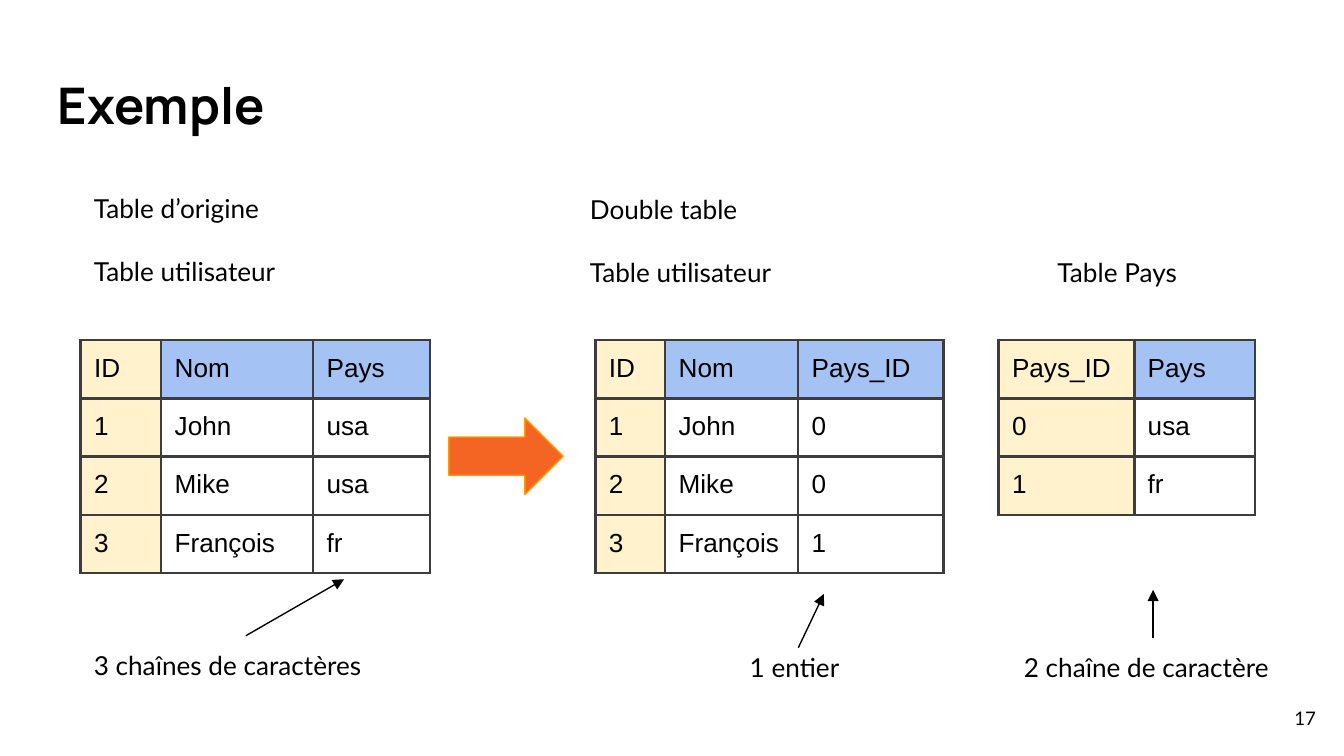
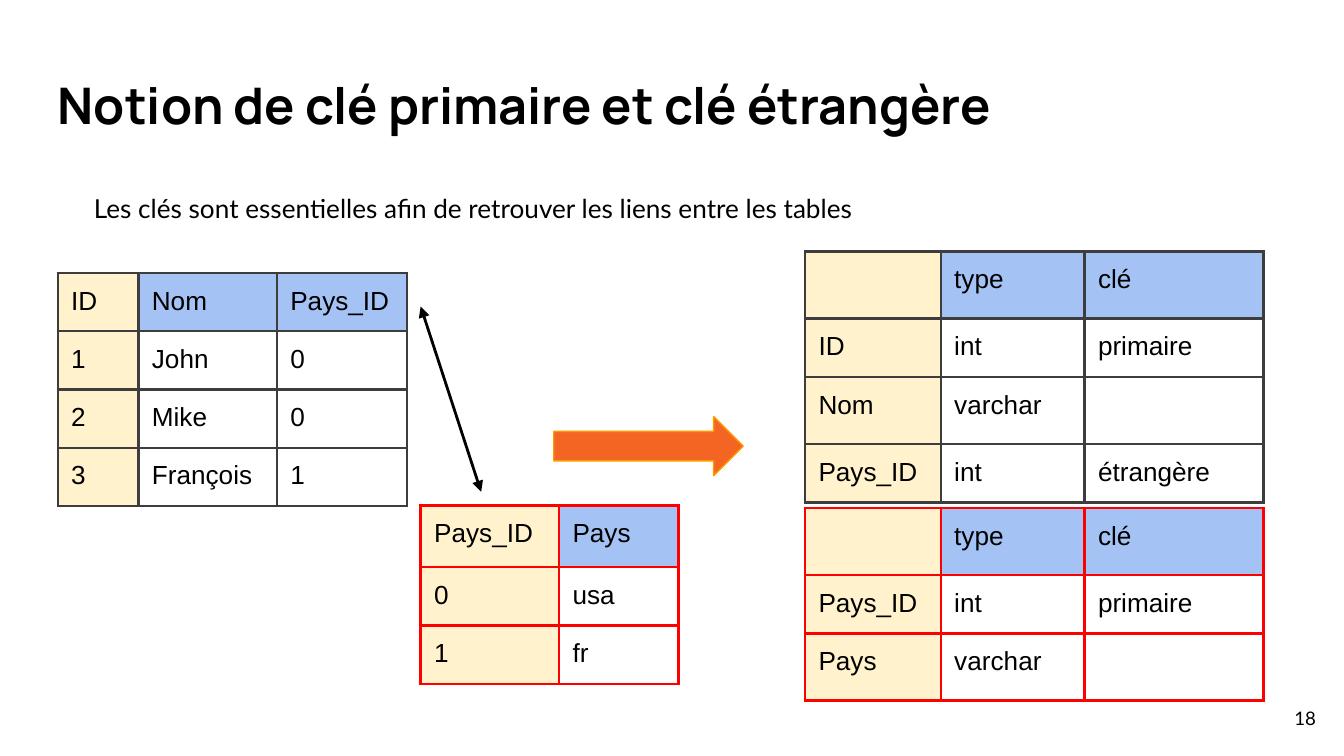
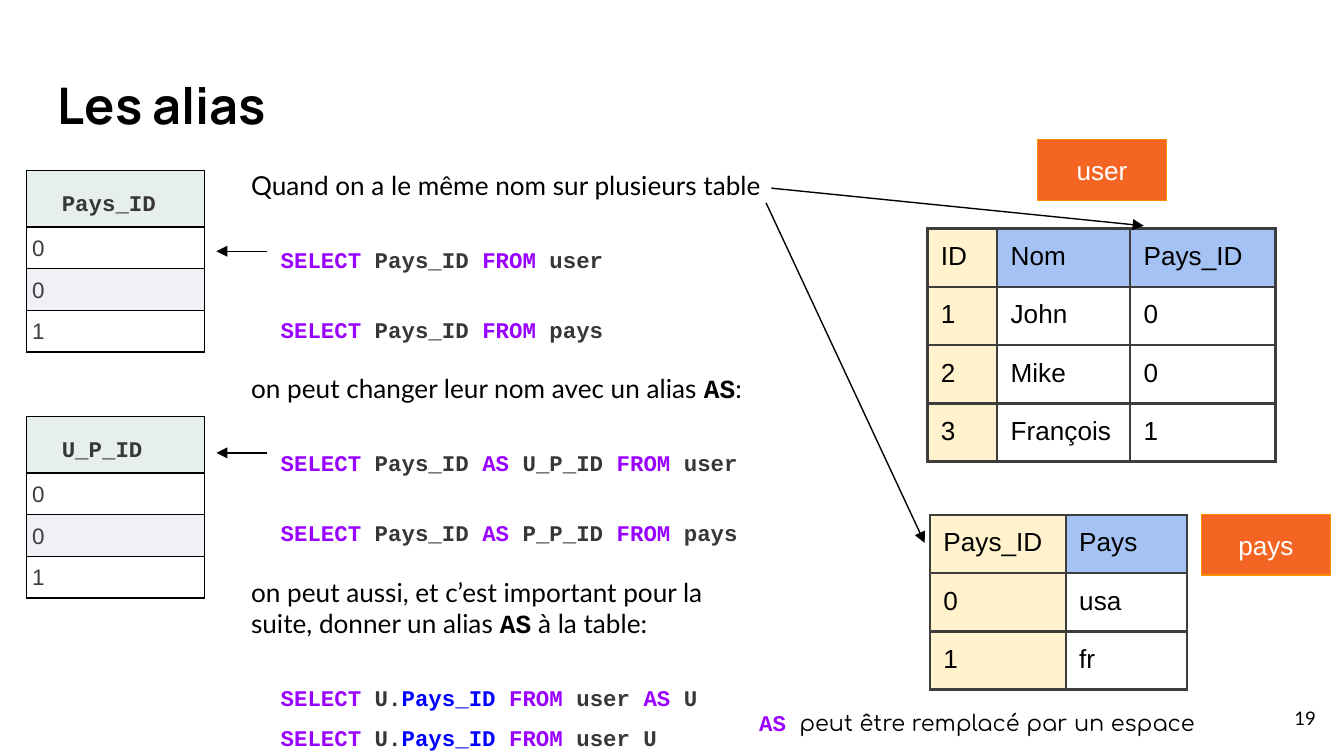
from lxml.etree import SubElement
from pptx import Presentation
from pptx.dml.color import RGBColor
from pptx.enum.shapes import MSO_CONNECTOR as Link, MSO_SHAPE as Shape
from pptx.enum.text import MSO_ANCHOR as Anchor, MSO_AUTO_SIZE as AutoSize, PP_ALIGN as Align
from pptx.oxml import parse_xml
from pptx.oxml.ns import nsdecls, qn
from pptx.util import Inches, Pt

BLACK = RGBColor(0x00, 0x00, 0x00)
WHITE = RGBColor(0xFF, 0xFF, 0xFF)
CHARCOAL = RGBColor(0x3D, 0x3D, 0x3D)
CODE_GREY = RGBColor(0x37, 0x37, 0x37)
RED = RGBColor(0xFF, 0x00, 0x00)
BLUE = RGBColor(0x00, 0x00, 0xFF)
PURPLE = RGBColor(0x99, 0x00, 0xFF)
KEY_CREAM = RGBColor(0xFF, 0xF2, 0xCC)
HEADER_BLUE = RGBColor(0xA4, 0xC2, 0xF4)
ORANGE = RGBColor(0xF4, 0x65, 0x24)
ARROW_EDGE = RGBColor(0xFF, 0x99, 0x00)
TAG_EDGE = RGBColor(0xFB, 0x8C, 0x00)
RESULT_HEADER = RGBColor(0xE6, 0xEE, 0xEE)
RESULT_BAND = RGBColor(0xF0, 0xF0, 0xF6)
SANS, PROSE, CODE, HEADING, ROUND = "Arial", "Lato", "Courier New", "Manrope", "Comfortaa"
KEYWORDS = ("SELECT", "FROM", "AS")
CODE_INDENT = Inches(0.22)
COUNTRY_TAB = Inches(3.48)
ROW = 0.43
TALL_ROW = 0.5


def add_box(page, left, top, width, height, lines, size=14):
    box = page.shapes.add_textbox(Inches(left), Inches(top), Inches(width), Inches(height))
    frame = box.text_frame
    frame.word_wrap = True
    frame.margin_left = frame.margin_right = frame.margin_top = frame.margin_bottom = Inches(0.1)
    for index, line in enumerate(lines):
        para = frame.add_paragraph() if index else frame.paragraphs[0]
        para.text = line
        if index:
            para.space_before = Pt(17)
        if "\t" in line:
            stops = SubElement(para._p.get_or_add_pPr(), qn("a:tabLst"))
            SubElement(stops, qn("a:tab"), pos=str(COUNTRY_TAB), algn="l")
        para.font.name, para.font.size = PROSE, Pt(size)
        para.font.color.rgb = BLACK
    return frame


def add_grid(page, left, top, widths, heights, rows, edge=CHARCOAL, weight=1.5, inset=0.1):
    grid = page.shapes.add_table(len(rows), len(widths), Inches(left), Inches(top),
                                 Inches(sum(widths)), Inches(sum(heights))).table
    grid.first_row = grid.horz_banding = False
    for column, width in zip(grid.columns, widths):
        column.width = Inches(width)
    for row, height in zip(grid.rows, heights):
        row.height = Inches(height)
    for row_index, texts in enumerate(rows):
        for column_index, text in enumerate(texts):
            cell = grid.cell(row_index, column_index)
            cell.margin_left = cell.margin_right = Inches(inset)
            cell.margin_top = cell.margin_bottom = Inches(inset)
            if column_index == 0 or row_index == 0:
                cell.fill.solid()
                cell.fill.fore_color.rgb = HEADER_BLUE if column_index else KEY_CREAM
            else:
                cell.fill.background()
            para = cell.text_frame.paragraphs[0]
            para.text = text
            para.font.name, para.font.size = SANS, Pt(14)
            para.font.color.rgb = BLACK
            properties = cell._tc.get_or_add_tcPr()
            for position, side in enumerate(("lnL", "lnR", "lnT", "lnB")):
                properties.insert(position, parse_xml(
                    f'<a:{side} {nsdecls("a")} w="{Pt(weight)}"><a:solidFill>'
                    f'<a:srgbClr val="{edge}"/></a:solidFill></a:{side}>'))
    return grid


deck = Presentation()
deck.slide_width = Inches(10)
deck.slide_height = deck.slide_width * 9 // 16
title_layout = deck.slide_layouts[5]

pages = []
titles = ["Exemple", "Notion de clé primaire et clé étrangère", "Les alias"]
for number, title_text in enumerate(titles, 17):
    page = deck.slides.add_slide(title_layout)
    title = page.shapes.title
    title.left, title.top, title.width, title.height = map(Inches, (0.33, 0.45, 9.32, 0.7))
    frame = title.text_frame
    frame.text = title_text
    frame.auto_size = AutoSize.NONE
    frame.vertical_anchor = Anchor.TOP
    frame.margin_left = frame.margin_right = frame.margin_top = frame.margin_bottom = Inches(0.1)
    para = frame.paragraphs[0]
    para.alignment = Align.LEFT
    para.font.name, para.font.size, para.font.bold = HEADING, Pt(27), True
    para.font.color.rgb = BLACK
    number_frame = add_box(page, 9.29, 5.13, 0.6, 0.43, [str(number)], 10)
    number_frame.vertical_anchor = Anchor.MIDDLE
    number_frame.paragraphs[0].alignment = Align.RIGHT
    pages.append(page)
example, keys, aliases = pages

for page, left, top, width, height, lines in [
    (example, 0.6, 1.33, 1.91, 0.91, ["Table d’origine", "Table utilisateur"]),
    (example, 4.29, 1.34, 4.6, 0.91, ["Double table", "Table utilisateur\tTable Pays"]),
    (example, 0.6, 4.73, 2.46, 0.44, ["3 chaînes de caractères"]),
    (example, 5.48, 4.75, 1.59, 0.44, ["1 entier"]),
    (example, 7.52, 4.75, 2.13, 0.44, ["2 chaîne de caractère"]),
    (keys, 0.6, 1.33, 8.51, 0.44,
     ["Les clés sont essentielles afin de retrouver les liens entre les tables"]),
]:
    add_box(page, left, top, width, height, lines)

names = ["John", "Mike", "François"]
users_by_name = [["ID", "Nom", "Pays"]]
users_by_id = [["ID", "Nom", "Pays_ID"]]
for index, (name, country, country_id) in enumerate(zip(names, ["usa", "usa", "fr"], "001"), 1):
    users_by_name.append([str(index), name, country])
    users_by_id.append([str(index), name, country_id])
countries = [["Pays_ID", "Pays"], ["0", "usa"], ["1", "fr"]]
user_types = [["", "type", "clé"], ["ID", "int", "primaire"],
              ["Nom", "varchar", ""], ["Pays_ID", "int", "étrangère"]]
country_types = [["", "type", "clé"], ["Pays_ID", "int", "primaire"], ["Pays", "varchar", ""]]

user_widths, country_widths, type_widths = [0.52, 0.99, 1.08], [1.01, 0.9], [1.01, 1.07, 1.33]
for page, left, top, widths, heights, rows, edge in [
    (example, 0.6, 2.53, [0.6, 1.13, 0.87], [ROW] * 4, users_by_name, CHARCOAL),
    (example, 4.43, 2.53, user_widths, [ROW] * 4, users_by_id, CHARCOAL),
    (example, 7.43, 2.53, country_widths, [ROW] * 3, countries, CHARCOAL),
    (keys, 0.43, 2.03, [0.6, 1.03, 0.97], [ROW] * 4, users_by_id, CHARCOAL),
    (keys, 3.13, 3.76, [1.03, 0.89], [0.46, ROW, ROW], countries, RED),
    (keys, 5.99, 1.87, type_widths, [TALL_ROW, ROW, TALL_ROW, ROW], user_types, CHARCOAL),
    (keys, 5.99, 3.78, type_widths, [TALL_ROW, ROW, TALL_ROW], country_types, RED),
    (aliases, 6.9, 1.7, user_widths, [ROW] * 4, users_by_id, CHARCOAL),
    (aliases, 6.92, 3.83, country_widths, [ROW] * 3, countries, CHARCOAL),
]:
    add_grid(page, left, top, widths, heights, rows, edge)

for top, heading in [(1.27, "Pays_ID"), (3.1, "U_P_ID")]:
    result = add_grid(aliases, 0.2, top, [1.32], [0.42] + [0.31] * 3,
                      [[heading], ["0"], ["0"], ["1"]], BLACK, 0.75, 0.04)
    for index, color in enumerate([RESULT_HEADER, WHITE, RESULT_BAND, WHITE]):
        cell = result.cell(index, 0)
        cell.fill.solid()
        cell.fill.fore_color.rgb = color
        para = cell.text_frame.paragraphs[0]
        para.line_spacing = 1.15 if index else 1.5
        para.font.size = Pt(12)
        para.font.color.rgb = CHARCOAL if index else CODE_GREY
        if index == 0:
            cell.vertical_anchor = Anchor.MIDDLE
            para.font.name, para.font.bold = CODE, True
            para._p.get_or_add_pPr().set("marL", str(CODE_INDENT))

for page, start, end, weight, ends in [
    (example, (1.83, 4.73), (2.56, 4.31), 0.75, ["tailEnd"]),
    (example, (8.58, 4.75), (8.58, 4.39), 0.75, ["tailEnd"]),
    (example, (5.94, 4.82), (6.13, 4.42), 0.75, ["tailEnd"]),
    (keys, (3.13, 2.28), (3.58, 3.66), 1.5, ["headEnd", "tailEnd"]),
    (aliases, (5.74, 1.4), (8.51, 1.68), 0.75, ["tailEnd"]),
    (aliases, (5.7, 1.51), (6.88, 4.04), 0.75, ["tailEnd"]),
    (aliases, (1.99, 1.87), (1.61, 1.87), 0.75, ["tailEnd"]),
    (aliases, (1.99, 3.37), (1.61, 3.37), 0.75, ["tailEnd"]),
]:
    arrow = page.shapes.add_connector(Link.STRAIGHT, *map(Inches, start + end))
    arrow.line.color.rgb = BLACK
    arrow.line.width = Pt(weight)
    properties = arrow._element.spPr
    for end_name in ends:
        SubElement(properties.find(qn("a:ln")), qn(f"a:{end_name}")).set("type", "triangle")
    SubElement(properties, qn("a:effectLst"))

for page, kind, left, top, width, height, edge, label in [
    (example, Shape.RIGHT_ARROW, 3.34, 3.11, 0.85, 0.57, ARROW_EDGE, ""),
    (keys, Shape.RIGHT_ARROW, 4.12, 3.1, 1.41, 0.44, ARROW_EDGE, ""),
    (aliases, Shape.RECTANGLE, 7.72, 1.04, 0.96, 0.45, TAG_EDGE, "user"),
    (aliases, Shape.RECTANGLE, 8.94, 3.83, 0.96, 0.45, TAG_EDGE, "pays"),
]:
    block = page.shapes.add_shape(kind, Inches(left), Inches(top), Inches(width), Inches(height))
    block.shadow.inherit = False
    block.fill.solid()
    block.fill.fore_color.rgb = ORANGE
    block.line.color.rgb = edge
    block.line.width = Pt(0.75)
    if label:
        block.text_frame.vertical_anchor = Anchor.MIDDLE
        para = block.text_frame.paragraphs[0]
        para.text = label
        para.alignment = Align.CENTER
        para.font.name, para.font.size = SANS, Pt(14)
        para.font.color.rgb = WHITE

lesson = add_box(aliases, 1.77, 1.16, 4.04, 4.47, ["Quand on a le même nom sur plusieurs table"])
for space, text in [
    (17, "SELECT Pays_ID FROM user"),
    (16, "SELECT Pays_ID FROM pays"),
    (16, "on peut changer leur nom avec un alias AS:"),
    (17, "SELECT Pays_ID AS U_P_ID FROM user"),
    (16, "SELECT Pays_ID AS P_P_ID FROM pays"),
    (16, "on peut aussi, et c’est important pour la suite, donner un alias AS à la table:"),
    (17, "SELECT U.Pays_ID FROM user AS U SELECT U.Pays_ID FROM user U"),
]:
    para = lesson.add_paragraph()
    para.space_before = Pt(space)
    if text.startswith("SELECT"):
        para.line_spacing = 1.5
        para._p.get_or_add_pPr().set("marL", str(CODE_INDENT))
        para.font.name, para.font.size, para.font.bold = CODE, Pt(12), True
        words = text.split(" ")
        for index, word in enumerate(words):
            gap = " " if index < len(words) - 1 else ""
            owner, dot, field = word.partition(".")
            if dot:
                parts = [(owner + dot, CODE_GREY), (field + gap, BLUE)]
            else:
                parts = [(word + gap, PURPLE if word in KEYWORDS else CODE_GREY)]
            for part, color in parts:
                span = para.add_run()
                span.text = part
                span.font.color.rgb = color
    else:
        para.font.size = Pt(14)
        para.font.color.rgb = BLACK
        for part in text.partition("AS"):
            span = para.add_run()
            span.text = part
            span.font.name = CODE if part == "AS" else PROSE
            span.font.bold = part == "AS"

note = add_box(aliases, 5.55, 5.18, 3.87, 0.4, [""], 12).paragraphs[0]
for text, font, color in [("AS ", CODE, PURPLE),
                          ("peut être remplacé par un espace", ROUND, BLACK)]:
    span = note.add_run()
    span.text = text
    span.font.name, span.font.bold = font, font == CODE
    span.font.color.rgb = color

deck.save("out.pptx")
